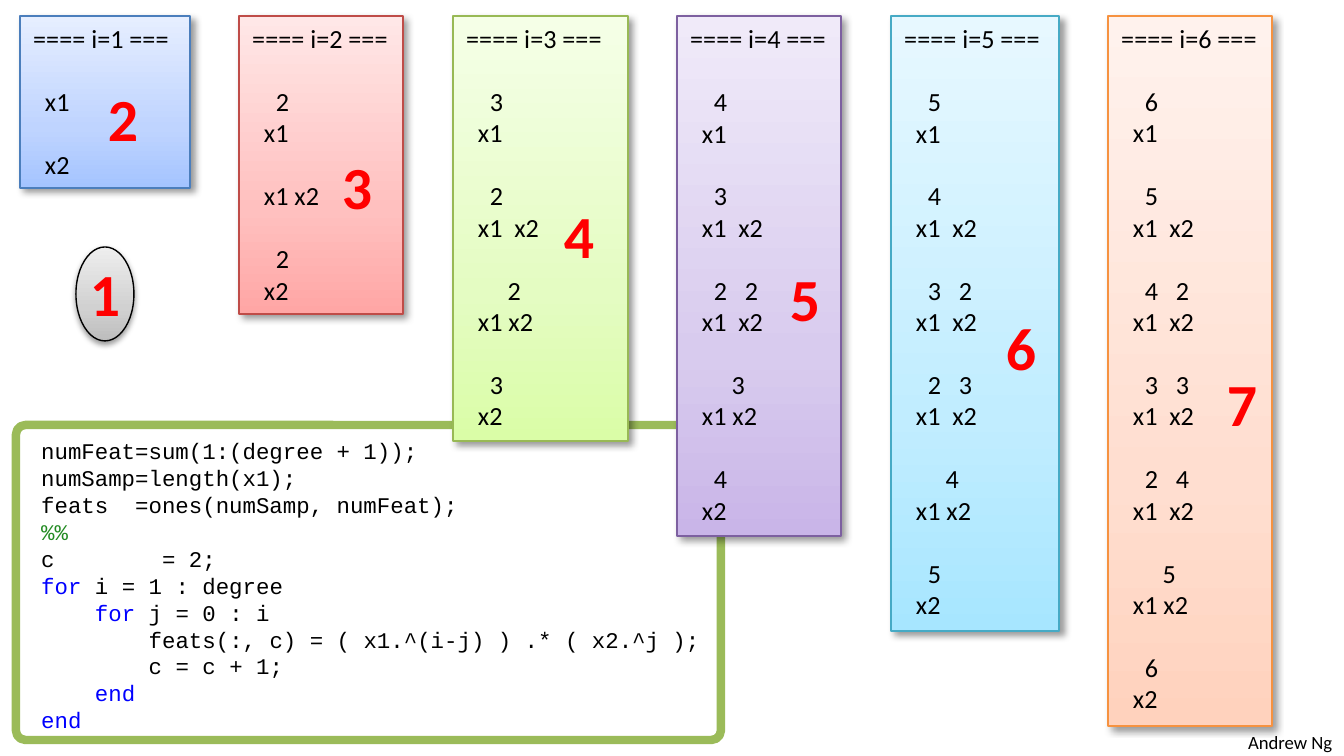
from dataclasses import dataclass

import pptx
import pptx.dml.color
import pptx.enum.shapes
import pptx.enum.text
import pptx.oxml
import pptx.oxml.ns
import pptx.util
from copy import deepcopy

SHAPE = pptx.enum.shapes.MSO_SHAPE
ALIGN = pptx.enum.text.PP_ALIGN
NS = 'xmlns:a="http://schemas.openxmlformats.org/drawingml/2006/main"'
PX = 914400 / 134.4  # EMU in one px


@dataclass(frozen=True)
class Theme:
    sans: str = "Calibri"
    mono: str = "Courier New"
    ink: str = "000000"
    paper: str = "FFFFFF"
    red: str = "FF0000"
    blue: str = "0000FF"
    green: str = "228B22"
    frame: str = "9BBB59"
    gray: tuple = ("BDBDBD", "D1D1D1", "EEEEEE")
    note: int = 10
    code: int = 12
    term: int = 14
    mark: int = 32


def emu(px):
    return pptx.util.Emu(round(px * PX))


def rgb(code):
    return pptx.dml.color.RGBColor.from_string(code)


class Board:
    def __init__(self, slide, theme):
        self.slide = slide
        self.theme = theme

    def shape(self, kind, box, fill, line, width=0.75):
        """Draw a preset shape; a tuple as fill makes a rising gradient."""
        item = self.slide.shapes.add_shape(kind, *map(emu, box))
        item.shadow.inherit = False
        item.line.color.rgb = rgb(line)
        item.line.width = pptx.util.Pt(width)
        if isinstance(fill, str):
            item.fill.solid()
            item.fill.fore_color.rgb = rgb(fill)
            return item
        item.fill.gradient()
        item.fill.gradient_angle = 90
        stops = item.fill.gradient_stops
        last = stops[1]._gs
        last.addnext(deepcopy(last))
        for stop, color, spot in zip(item.fill.gradient_stops, fill, (0, 0.35, 1)):
            stop.color.rgb = rgb(color)
            stop.position = spot
        return item

    def shade(self, item, blur, dist, angle, alpha):
        effect = item._element.spPr.find(pptx.oxml.ns.qn("a:effectLst"))
        effect.append(pptx.oxml.parse_xml(
            f'<a:outerShdw {NS} blurRad="{round(blur * 12700)}" '
            f'dist="{round(dist * 12700)}" dir="{angle * 60000}" rotWithShape="0">'
            f'<a:srgbClr val="{self.theme.ink}"><a:alpha val="{alpha * 1000}"/>'
            '</a:srgbClr></a:outerShdw>'))

    def text(self, box, wrap=True):
        item = self.slide.shapes.add_textbox(*map(emu, box))
        return self.frame(item, wrap)

    def frame(self, item, wrap=True):
        frame = item.text_frame
        frame.word_wrap = wrap
        frame.auto_size = pptx.enum.text.MSO_AUTO_SIZE.SHAPE_TO_FIT_TEXT
        frame.vertical_anchor = pptx.enum.text.MSO_ANCHOR.TOP
        return frame

    def line(self, frame, runs, size, font, align=ALIGN.LEFT, bold=False,
             indent=0, gap=0):
        """Add one paragraph of (text, color) runs; indent and gap in pt."""
        para = frame.paragraphs[0]
        if para.runs:
            para = frame.add_paragraph()
        para.alignment = align
        para.space_before = pptx.util.Pt(gap)
        props = para._p.get_or_add_pPr()
        props.set("marL", str(pptx.util.Pt(indent)))
        props.set("indent", "0")
        for words, color in runs:
            run = para.add_run()
            run.text = words
            run.font.size = pptx.util.Pt(size)
            run.font.name = font
            run.font.bold = bold
            run.font.color.rgb = rgb(color)

    def mark(self, digit, left, top):
        """Add a large red count, centred in its box."""
        frame = self.text((left, top, 58, 86), wrap=False)
        self.line(frame, [(digit, self.theme.red)], self.theme.mark,
                  self.theme.sans, ALIGN.CENTER, True)

    def panel(self, deg, left, width, fill, line, spot):
        """Add the column that lists every term of one degree."""
        rows = [(f"==== i={deg} ===", 0, 0)]
        for j in range(deg + 1):
            rows += term(deg - j, j)
        count = len(rows) + deg + 1
        item = self.shape(SHAPE.RECTANGLE, (left, 16, width, round(13 + 31.7 * count)),
                          fill, line)
        self.shade(item, 4, 3, 45, 40)
        frame = self.frame(item)
        for words, indent, gap in rows:
            self.line(frame, [(words, self.theme.ink)], self.theme.term,
                      self.theme.sans, indent=indent, gap=gap)
        self.mark(str(deg + 1), *spot)


def term(a, b):
    """Rows for x1^a x2^b: exponents above bases, with ones left out."""
    tops = [str(n) for n in (a, b) if n > 1]
    names = [name for name, n in (("x1", a), ("x2", b)) if n]
    rows = []
    if tops:
        rows.append(("   ".join(tops), 22.2 if a == 1 else 12.7, 16.9))
    join = " " if a == 1 else "  "
    rows.append((join.join(names), 6.3, 0 if tops else 16.9))
    return rows


def main():
    theme = Theme()
    deck = pptx.Presentation()
    deck.slide_width, deck.slide_height = emu(1344), emu(756)
    board = Board(deck.slides.add_slide(deck.slide_layouts[6]), theme)

    # Author note
    note = board.text((1235, 724, 113, 36), wrap=False)
    board.line(note, [("Andrew Ng", theme.ink)], theme.note, theme.sans)

    # Constant term
    oval = board.shape(SHAPE.OVAL, (76, 247, 58, 94), theme.gray, theme.ink)
    board.shade(oval, 3.1, 1.6, 90, 38)
    board.mark("1", 76, 250)

    # Degree panels: degree, left, width, gradient, border, place of the count
    panels = [
        (6, 1108, 164, ("FFD2BD", "FFDED0", "FFF2ED"), "F69240", (1213, 360)),
        (2, 239, 164, ("FFA6A5", "FFC0BF", "FFE7E7"), "BF4C48", (328, 143)),
        (1, 20, 170, ("A4C4FF", "BFD4FF", "E6EEFF"), "4B7EBC", (94, 75)),
        (5, 891, 168, ("A7E6FF", "C1EDFF", "E7F8FF"), "46AAC5", (992, 304)),
        (4, 677, 164, ("C9B5E8", "D8CBEE", "F0EAF9"), "7D60A0", (776, 255)),
        (3, 453, 175, ("DAFDA7", "E4FCC2", "F5FFE7"), "98B955", (550, 192)),
    ]
    for panel in panels[:4]:
        board.panel(*panel)

    # Code box, below the two panels that overlap it
    card = board.shape(SHAPE.ROUNDED_RECTANGLE, (16, 425, 705, 315),
                       theme.paper, theme.frame, 4.5)
    card.adjustments[0] = 0.03
    ink, blue = theme.ink, theme.blue
    code = [
        (0, [("numFeat=sum(1:(degree + 1));", ink)]),
        (0, [("numSamp=length(x1);", ink)]),
        (0, [("feats  =ones(numSamp, numFeat);", ink)]),
        (0, [("%%", theme.green)]),
        (0, [("c        = 2;", ink)]),
        (0, [("for ", blue), ("i = 1 : degree", ink)]),
        (1, [("for", blue), (" j = 0 : i", ink)]),
        (2, [("feats(:, c) = ( x1.^(i-j) ) .* ( x2.^j );", ink)]),
        (2, [("c = c + 1;", ink)]),
        (1, [("end", blue)]),
        (0, [("end", blue)]),
    ]
    frame = board.text((28, 431, 699, 312))
    for depth, runs in code:
        board.line(frame, runs, theme.code, theme.mono, indent=28.8 * depth)

    for panel in panels[4:]:
        board.panel(*panel)

    deck.save("out.pptx")


if __name__ == "__main__":
    main()
